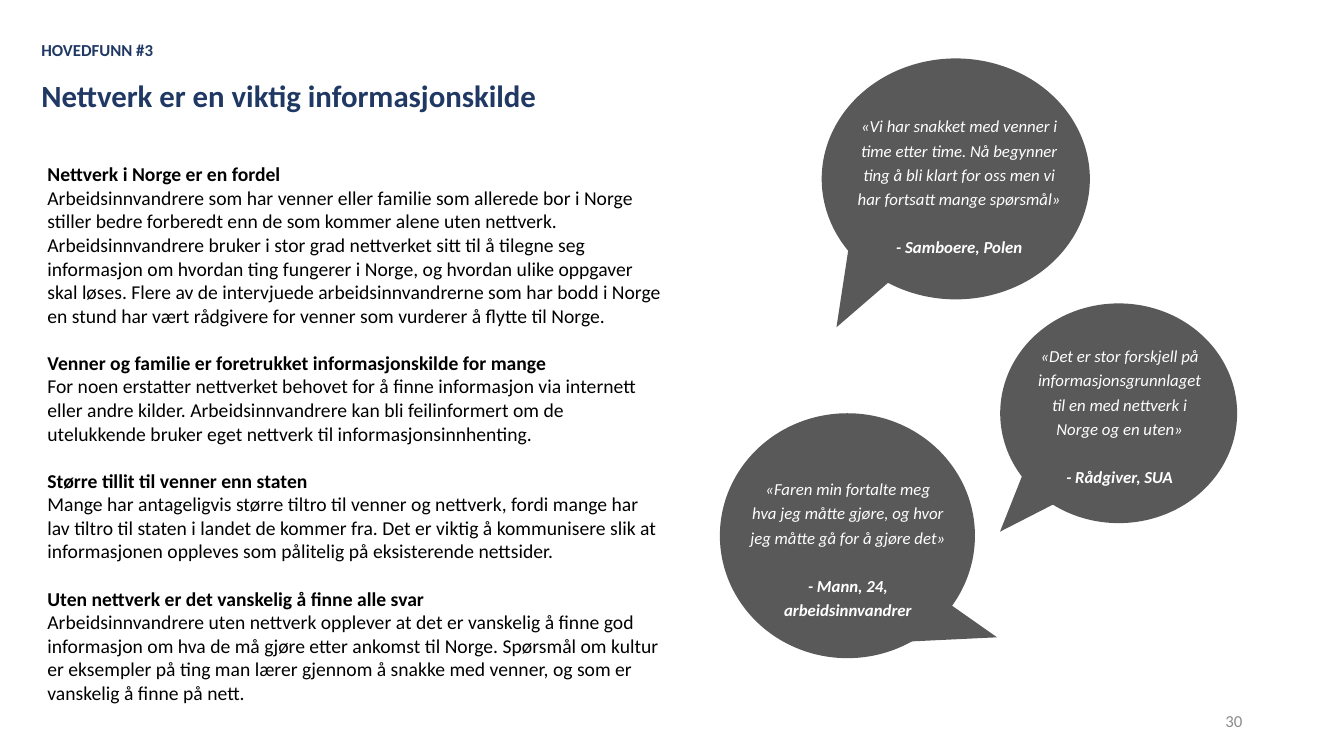
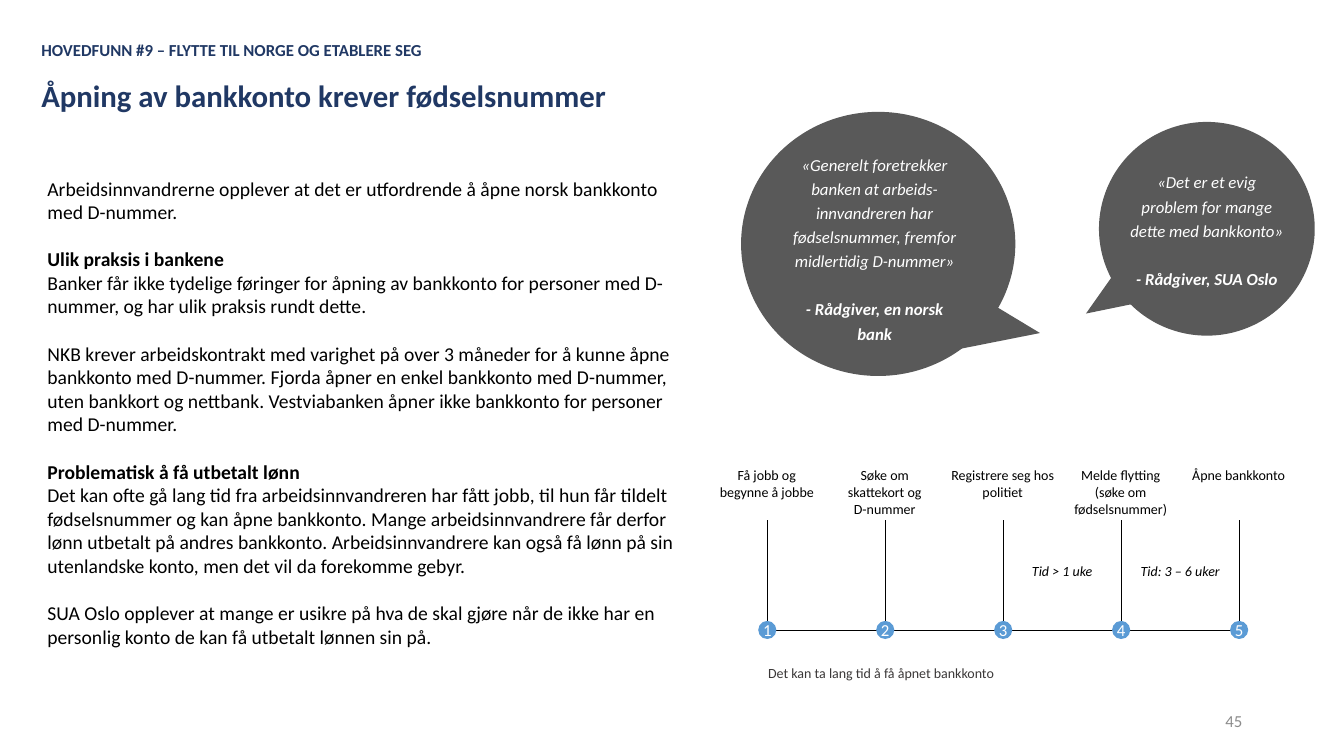
from dataclasses import dataclass
from typing import Any

from lxml.etree import SubElement
from pptx import Presentation
from pptx.dml.color import RGBColor
from pptx.enum.shapes import MSO_CONNECTOR, MSO_SHAPE
from pptx.enum.text import MSO_ANCHOR, MSO_AUTO_SIZE, PP_ALIGN
from pptx.oxml.ns import qn
from pptx.util import Emu, Pt

NAVY, GREY, BLUE = "203864", "595959", "5B9BD5"
BLACK, WHITE, CAPTION_GREY, NUMBER_GREY = "000000", "FFFFFF", "3B3838", "8C8C8C"
FONT = "Calibri"
GAP = 17

Box = tuple[int, int, int, int]


@dataclass(frozen=True)
class Line:
    text: str
    bold: bool = False
    gap: float = 0
    size: float | None = None


@dataclass(frozen=True)
class Style:
    size: float
    color: str = BLACK
    italic: bool = False
    align: PP_ALIGN = PP_ALIGN.LEFT
    anchor: MSO_ANCHOR = MSO_ANCHOR.TOP
    spacing: float = 1.0
    inset: tuple[int, int] = (10, 5)


@dataclass(frozen=True)
class Tail:
    box: Box
    rotation: float
    flipped: bool = False


@dataclass(frozen=True)
class Bubble:
    ellipse: Box
    tail: Tail
    text_box: Box
    quote: tuple[str, ...]
    speaker: str


@dataclass(frozen=True)
class Finding:
    number: str
    eyebrow: str
    title: str
    body_box: Box
    body: tuple[Line, ...]
    bubbles: tuple[Bubble, ...]


TITLE = Style(22, NAVY, anchor=MSO_ANCHOR.BOTTOM)
BODY = Style(14)
QUOTE = Style(12, WHITE, True, PP_ALIGN.CENTER, MSO_ANCHOR.MIDDLE, 1.2)
NUMBER = Style(12, NUMBER_GREY, align=PP_ALIGN.RIGHT, anchor=MSO_ANCHOR.MIDDLE)
STEP = Style(10, align=PP_ALIGN.CENTER)
DURATION = Style(10, italic=True, align=PP_ALIGN.CENTER)
CAPTION = Style(10, CAPTION_GREY)
DOT = Style(12, WHITE, align=PP_ALIGN.CENTER, anchor=MSO_ANCHOR.MIDDLE, inset=(0, 0))

NETWORK = Finding(
    "30", "HOVEDFUNN #3", "Nettverk er en viktig informasjonskilde",
    (37, 156, 631, 560),
    (
        Line("Nettverk i Norge er en fordel", True),
        Line("Arbeidsinnvandrere som har venner eller familie som allerede bor i Norge "
             "stiller bedre forberedt enn de som kommer alene uten nettverk. "
             "Arbeidsinnvandrere bruker i stor grad nettverket sitt til å tilegne seg "
             "informasjon om hvordan ting fungerer i Norge, og hvordan ulike oppgaver "
             "skal løses. Flere av de intervjuede arbeidsinnvandrerne som har bodd i Norge "
             "en stund har vært rådgivere for venner som vurderer å flytte til Norge."),
        Line("Venner og familie er foretrukket informasjonskilde for mange", True, GAP),
        Line("For noen erstatter nettverket behovet for å finne informasjon via internett "
             "eller andre kilder. Arbeidsinnvandrere kan bli feilinformert om de "
             "utelukkende bruker eget nettverk til informasjonsinnhenting."),
        Line("Større tillit til venner enn staten", True, GAP),
        Line("Mange har antageligvis større tiltro til venner og nettverk, fordi mange har "
             "lav tiltro til staten i landet de kommer fra. Det er viktig å kommunisere slik at "
             "informasjonen oppleves som pålitelig på eksisterende nettsider."),
        Line("Uten nettverk er det vanskelig å finne alle svar", True, GAP),
        Line("Arbeidsinnvandrere uten nettverk opplever at det er vanskelig å finne god "
             "informasjon om hva de må gjøre etter ankomst til Norge. Spørsmål om kultur "
             "er eksempler på ting man lærer gjennom å snakke med venner, og som er "
             "vanskelig å finne på nett."),
    ),
    (
        Bubble((815, 58, 266, 239), Tail((769, 112, 158, 185), 229.2), (835, 105, 233, 156),
               ("«Vi har snakket med venner i time etter time. Nå begynner ting å bli klart "
                "for oss men vi har fortsatt mange spørsmål»",), "- Samboere, Polen"),
        Bubble((992, 301, 235, 218), Tail((960, 344, 144, 164), 242.9), (1016, 333, 189, 156),
               ("«Det er stor forskjell på informasjonsgrunnlaget til en med nettverk i "
                "Norge og en uten»",), "- Rådgiver, SUA"),
        Bubble((714, 410, 253, 243), Tail((847, 567, 108, 139), 125.1), (729, 465, 224, 156),
               ("«Faren min fortalte meg",
                "hva jeg måtte gjøre, og hvor jeg måtte gå for å gjøre det»"),
               "- Mann, 24, arbeidsinnvandrer"),
    ),
)

BANK_ACCOUNT = Finding(
    "45", "HOVEDFUNN #9 – FLYTTE TIL NORGE OG ETABLERE SEG",
    "Åpning av bankkonto krever fødselsnummer",
    (37, 170, 647, 560),
    (
        Line("Arbeidsinnvandrerne opplever at det er utfordrende å åpne norsk bankkonto "
             "med D-nummer."),
        Line("Ulik praksis i bankene", True, GAP),
        Line("Banker får ikke tydelige føringer for åpning av bankkonto for personer med "
             "D-nummer, og har ulik praksis rundt dette."),
        Line("NKB krever arbeidskontrakt med varighet på over 3 måneder for å kunne åpne "
             "bankkonto med D-nummer. Fjorda åpner en enkel bankkonto med D-nummer, uten "
             "bankkort og nettbank. Vestviabanken åpner ikke bankkonto for personer med "
             "D-nummer.", gap=GAP),
        Line("Problematisk å få utbetalt lønn", True, GAP),
        Line("Det kan ofte gå lang tid fra arbeidsinnvandreren har fått jobb, til hun får "
             "tildelt fødselsnummer og kan åpne bankkonto. Mange arbeidsinnvandrere får "
             "derfor lønn utbetalt på andres bankkonto. Arbeidsinnvandrere kan også få lønn "
             "på sin utenlandske konto, men det vil da forekomme gebyr."),
        Line("SUA Oslo opplever at mange er usikre på hva de skal gjøre når de ikke har en "
             "personlig konto de kan få utbetalt lønnen sin på.", gap=GAP),
    ),
    (
        Bubble((735, 111, 272, 262), Tail((835, 169, 173, 190), 78.8, True),
               (772, 143, 191, 204),
               ("«Generelt foretrekker banken at arbeids-innvandreren har fødselsnummer, "
                "fremfor midlertidig D-nummer»",), "- Rådgiver, en norsk bank"),
        Bubble((1090, 121, 214, 212), Tail((1066, 153, 140, 149), 258.4),
               (1108, 161, 178, 131),
               ("«Det er et evig problem for mange dette med bankkonto»",),
               "- Rådgiver, SUA Oslo"),
    ),
)

STEPS = (
    ("Få jobb og begynne å jobbe",),
    ("Søke om skattekort og", "D-nummer"),
    ("Registrere seg hos politiet",),
    ("Melde flytting", "(søke om fødselsnummer)"),
    ("Åpne bankkonto",),
)
DURATIONS = {2: "Tid > 1 uke", 3: "Tid: 3 – 6 uker"}


def px(length: int) -> Emu:
    return Emu(length * 9144)


def rgb(color: str) -> RGBColor:
    return RGBColor.from_string(color)


def set_values(target: Any, values: dict[str, Any]) -> None:
    for name, value in values.items():
        setattr(target, name, value)


def place(shape: Any, box: Box) -> None:
    set_values(shape, dict(zip(("left", "top", "width", "height"), map(px, box))))


def write(shape: Any, lines: tuple[Line, ...], style: Style) -> None:
    frame = shape.text_frame
    horizontal, vertical = map(px, style.inset)
    set_values(frame, {
        "word_wrap": style.inset != (0, 0), "auto_size": MSO_AUTO_SIZE.NONE,
        "vertical_anchor": style.anchor,
        "margin_left": horizontal, "margin_right": horizontal,
        "margin_top": vertical, "margin_bottom": vertical,
    })
    for index, line in enumerate(lines):
        paragraph = frame.add_paragraph() if index else frame.paragraphs[0]
        set_values(paragraph, {
            "alignment": style.align, "line_spacing": style.spacing,
            "space_before": Pt(line.gap), "space_after": Pt(0),
        })
        if shape.is_placeholder:
            properties = paragraph._p.get_or_add_pPr()
            properties.set("marL", "0")
            properties.set("indent", "0")
            SubElement(properties, qn("a:buNone"))
        run = paragraph.add_run()
        run.text = line.text
        set_values(run.font, {
            "name": FONT, "size": Pt(line.size or style.size),
            "bold": line.bold, "italic": style.italic,
        })
        run.font.color.rgb = rgb(style.color)


def add_text(slide: Any, box: Box, lines: tuple[Line, ...], style: Style) -> None:
    write(slide.shapes.add_textbox(*map(px, box)), lines, style)


def add_filled(slide: Any, kind: MSO_SHAPE, box: Box, color: str) -> Any:
    shape = slide.shapes.add_shape(kind, *map(px, box))
    shape.shadow.inherit = False
    shape.fill.solid()
    shape.fill.fore_color.rgb = rgb(color)
    shape.line.fill.background()
    return shape


def add_line(slide: Any, start: tuple[int, int], end: tuple[int, int]) -> None:
    connector = slide.shapes.add_connector(MSO_CONNECTOR.STRAIGHT, *map(px, start + end))
    connector.line.width = Pt(0.5)
    connector.line.color.rgb = rgb(BLACK)
    SubElement(connector.element.spPr, qn("a:effectLst"))


def add_bubble(slide: Any, bubble: Bubble) -> None:
    tail = add_filled(slide, MSO_SHAPE.RIGHT_TRIANGLE, bubble.tail.box, GREY)
    tail.rotation = bubble.tail.rotation
    if bubble.tail.flipped:
        tail.element.spPr.find(qn("a:xfrm")).set("flipH", "1")
    add_filled(slide, MSO_SHAPE.OVAL, bubble.ellipse, GREY)
    lines = tuple(map(Line, bubble.quote)) + (Line(bubble.speaker, True, GAP),)
    add_text(slide, bubble.text_box, lines, QUOTE)


def add_timeline(slide: Any) -> None:
    first, step, top, base, diameter = 761, 117, 516, 625, 18
    columns = [first + step * index for index in range(len(STEPS))]
    add_line(slide, (columns[0], base), (columns[-1], base))
    for index, (column, labels) in enumerate(zip(columns, STEPS)):
        add_line(slide, (column, top), (column, base))
        dot_box = (column - diameter // 2, base - diameter // 2, diameter, diameter)
        dot = add_filled(slide, MSO_SHAPE.OVAL, dot_box, BLUE)
        write(dot, (Line(str(index + 1)),), DOT)
        add_text(slide, (column - 62, 458, 123, 49), tuple(map(Line, labels)), STEP)
        if index in DURATIONS:
            add_text(slide, (column, 553, step, 28), (Line(DURATIONS[index]),), DURATION)
    add_text(slide, (752, 654, 328, 20),
             (Line("Det kan ta lang tid å få åpnet bankkonto"),), CAPTION)


def add_finding(presentation: Any, finding: Finding) -> Any:
    slide = presentation.slides.add_slide(presentation.slide_layouts[1])
    title, body = slide.placeholders
    place(title, (31, 33, 1302, 85))
    write(title, (Line(finding.eyebrow, True, size=12), Line(finding.title, True, 12)), TITLE)
    place(body, finding.body_box)
    write(body, finding.body, BODY)
    for bubble in finding.bubbles:
        add_bubble(slide, bubble)
    add_text(slide, (942, 695, 300, 40), (Line(finding.number),), NUMBER)
    return slide


def main() -> None:
    presentation = Presentation()
    presentation.slide_width, presentation.slide_height = px(1333), px(750)
    add_finding(presentation, NETWORK)
    add_timeline(add_finding(presentation, BANK_ACCOUNT))
    presentation.save("out.pptx")


if __name__ == "__main__":
    main()
